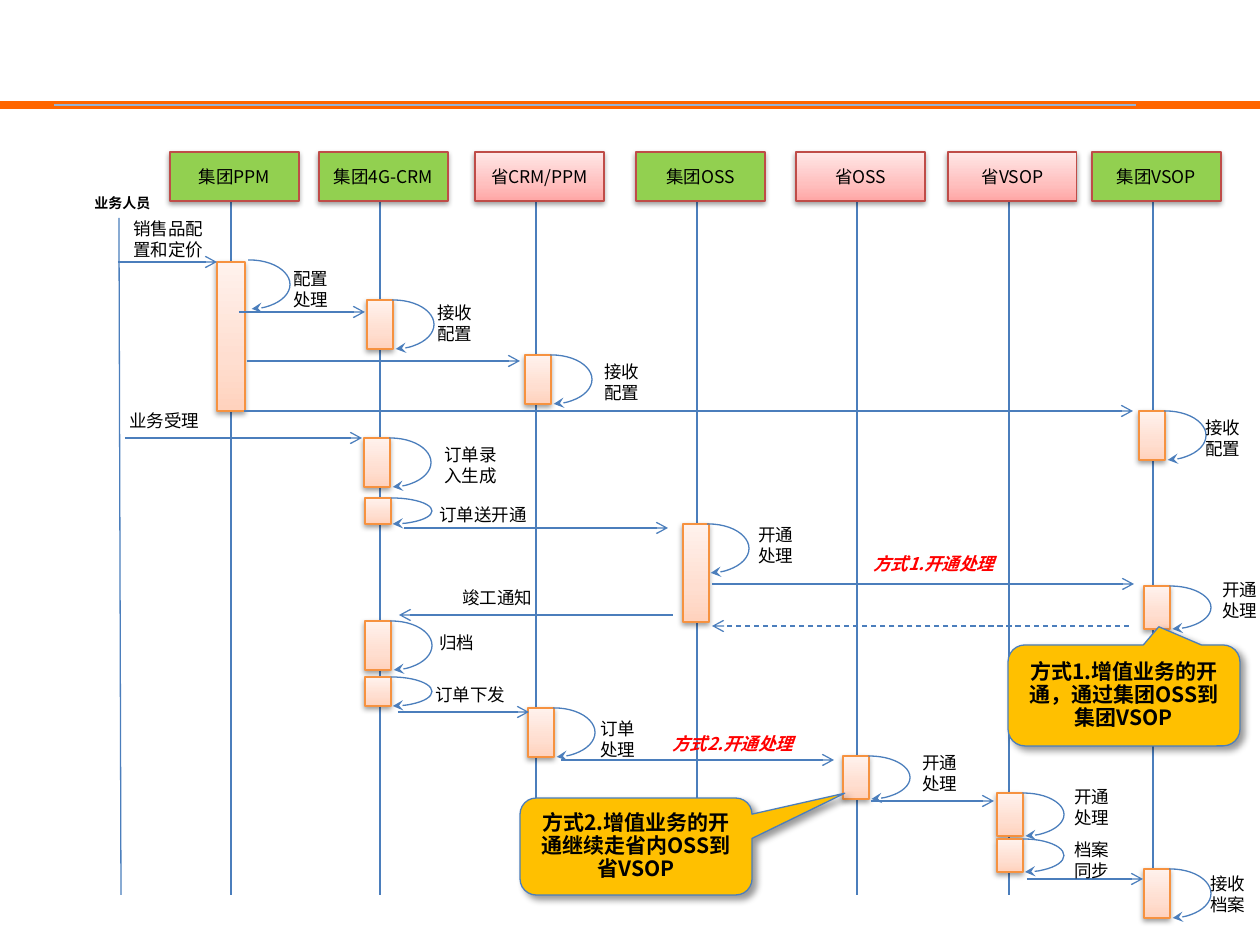
import pptx
import pptx.dml.color
import pptx.enum.dml
import pptx.enum.shapes
import pptx.enum.text
import pptx.oxml.ns
import pptx.util
from lxml import etree

SHAPE = pptx.enum.shapes.MSO_SHAPE
FONT = "Noto Sans CJK SC"
BLUE = "4B7EBC"
PINK = ((0, "FFA6A5"), (35, "FFC0BF"), (100, "FFE7E7"))
PEACH = ((0, "FFD2BD"), (35, "FFDED0"), (100, "FFF2ED"))
SOFT = (38, 3.1, 1.6, 90)
DEEP = (40, 4, 3, 45)
HEAD_W, HEAD_H, HEAD_Y, LIFE_END = 129, 49, 152, 895
BAR_W, LOOP_W = 26, 81

PARTICIPANTS = [
    (170, "集团PPM"), (319, "集团4G-CRM"), (475, "省CRM/PPM"), (636, "集团OSS"),
    (796, "省OSS"), (948, "省VSOP"), (1092, "集团VSOP"),
]
# left, top, height
ACTIVATIONS = [
    (367, 300, 49), (525, 355, 49), (364, 438, 49), (365, 498, 26),
    (365, 621, 49), (365, 677, 29), (528, 708, 49), (1139, 411, 49),
    (1144, 586, 43), (843, 756, 43), (997, 793, 43), (997, 839, 33),
    (1144, 869, 49),
]
# start x, end x, y
MESSAGES = [
    (118, 217, 262), (239, 365, 312), (247, 520, 361), (244, 1133, 411),
    (125, 362, 438), (404, 668, 528), (712, 1134, 584), (673, 399, 615),
    (398, 529, 712), (561, 834, 760), (871, 994, 801), (1027, 1143, 879),
]
# left, top, width, lines, text
LABELS = [
    (121, 212, 96, 2, "销售品配置和定价"), (281, 262, 72, 2, "配置处理"),
    (425, 296, 72, 2, "接收配置"), (592, 355, 72, 2, "接收配置"),
    (1193, 411, 72, 2, "接收配置"), (117, 404, 96, 1, "业务受理"),
    (432, 438, 87, 2, "订单录入生成"), (427, 498, 146, 1, "订单送开通"),
    (746, 518, 72, 2, "开通处理"), (1210, 573, 72, 2, "开通处理"),
    (450, 581, 118, 1, "竣工通知"), (427, 626, 73, 1, "归档"),
    (423, 678, 118, 1, "订单下发"), (588, 712, 73, 2, "订单处理"),
    (910, 746, 72, 2, "开通处理"), (1062, 780, 72, 2, "开通处理"),
    (1062, 833, 72, 2, "档案同步"), (1198, 867, 72, 2, "接收档案"),
]


def px(n):
    return pptx.util.Emu(round(n * 914400 / 126))


def color(value):
    return pptx.dml.color.RGBColor.from_string(value)


def add_xml(parent, tag, **attrs):
    return etree.SubElement(parent, pptx.oxml.ns.qn(tag), attrs)


def set_line(obj, value, width=0.75):
    obj.line.color.rgb = color(value)
    obj.line.width = pptx.util.Pt(width)


def set_arrow(obj, kind):
    add_xml(obj.line._get_or_add_ln(), "a:tailEnd", type=kind)


def set_effects(obj, shadow=None):
    """Replace the theme shadow by (alpha %, blur pt, distance pt, angle) or by none."""
    effects = add_xml(obj._element.spPr, "a:effectLst")
    if shadow:
        alpha, blur, dist, angle = shadow
        node = add_xml(effects, "a:outerShdw", blurRad=str(round(blur * 12700)),
                       dist=str(round(dist * 12700)), dir=str(angle * 60000),
                       rotWithShape="0")
        rgb = add_xml(node, "a:srgbClr", val="000000")
        add_xml(rgb, "a:alpha", val=str(alpha * 1000))


def set_fill(sp, fill):
    """Fill with one hex colour or with (percent, hex) stops running upwards."""
    if isinstance(fill, str):
        sp.fill.solid()
        sp.fill.fore_color.rgb = color(fill)
        return
    sp.fill.gradient()
    sp.fill.gradient_angle = 90
    stops = sp._element.spPr.find(".//" + pptx.oxml.ns.qn("a:gsLst"))
    for stop in list(stops):
        stops.remove(stop)
    for percent, value in fill:
        add_xml(add_xml(stops, "a:gs", pos=str(percent * 1000)), "a:srgbClr", val=value)


def set_text(sp, text, size=10, spacing=None, value="000000", bold=False, italic=False):
    tf = sp.text_frame
    tf.word_wrap = True
    tf.text = text
    p = tf.paragraphs[0]
    p.line_spacing = pptx.util.Pt(spacing or 1.2 * size)
    font = p.runs[0].font
    font.name, font.size = FONT, pptx.util.Pt(size)
    font.bold, font.italic, font.color.rgb = bold, italic, color(value)
    add_xml(p.runs[0]._r.get_or_add_rPr(), "a:ea", typeface=FONT)
    return p


def center_text(sp, text, **style):
    p = set_text(sp, text, **style)
    p.alignment = pptx.enum.text.PP_ALIGN.CENTER
    sp.text_frame.vertical_anchor = pptx.enum.text.MSO_ANCHOR.MIDDLE


def box(shapes, kind, x, y, w, h, fill, line, shadow):
    sp = shapes.add_shape(kind, px(x), px(y), px(w), px(h))
    set_fill(sp, fill)
    set_line(sp, line)
    set_effects(sp, shadow)
    return sp


def connector(shapes, x1, y1, x2, y2, value=BLUE, width=0.75, shadow=None):
    c = shapes.add_connector(pptx.enum.shapes.MSO_CONNECTOR.STRAIGHT,
                             px(x1), px(y1), px(x2), px(y2))
    set_line(c, value, width)
    set_effects(c, shadow)
    return c


def participant(shapes, x, name):
    """Head box with its lifeline."""
    life_x = x + 61
    connector(shapes, life_x, HEAD_Y + HEAD_H, life_x, LIFE_END)
    fill = "92D050" if name.startswith("集团") else PINK
    sp = box(shapes, SHAPE.RECTANGLE, x, HEAD_Y, HEAD_W, HEAD_H, fill, "BF4C48", SOFT)
    center_text(sp, name)


def bar(shapes, x, y, h, w=BAR_W):
    box(shapes, SHAPE.RECTANGLE, x, y, w, h, PEACH, "F69240", SOFT)


def self_loop(shapes, x, y, h):
    sp = shapes.add_shape(SHAPE.ARC, px(x), px(y), px(LOOP_W), px(h))
    sp.adjustments[0], sp.adjustments[1] = 160.176, 50.889
    sp.fill.background()
    set_line(sp, BLUE)
    set_arrow(sp, "stealth")
    set_effects(sp)


def activation(shapes, x, y, h):
    """Bar grouped with the self-message beside it."""
    group = shapes.add_group_shape()
    bar(group.shapes, x, y, h)
    self_loop(group.shapes, x - 14, y, h)


def message(shapes, x1, x2, y, dashed=False):
    c = connector(shapes, x1, y, x2, y)
    if dashed:
        c.line.dash_style = pptx.enum.dml.MSO_LINE.DASH
    set_arrow(c, "arrow")


def label(shapes, x, y, w, lines, text, **style):
    tb = shapes.add_textbox(px(x), px(y), px(w), px(13 + 21 * lines))
    set_text(tb, text, **style)


def callout(shapes, x, y, w, h, pointer, text):
    sp = box(shapes, SHAPE.ROUNDED_RECTANGULAR_CALLOUT, x, y, w, h, "FFC000", BLUE, DEEP)
    for i, value in enumerate((*pointer, 0.167)):
        sp.adjustments[i] = value
    center_text(sp, text, size=12, spacing=13, bold=True)


def main():
    prs = pptx.Presentation()
    prs.slide_width, prs.slide_height = px(1260), px(945)
    shapes = prs.slides.add_slide(prs.slide_layouts[6]).shapes

    connector(shapes, 0, 105, 1260, 105, "FF6600", 4.5)
    connector(shapes, 54, 105, 1136, 105, "95B3D7", shadow=DEEP)

    connector(shapes, 119, 218, 121, LIFE_END)
    label(shapes, 82, 188, 89, 1, "业务人员", size=8, bold=True)
    for item in PARTICIPANTS:
        participant(shapes, *item)

    bar(shapes, 217, 262, 149, w=28)
    self_loop(shapes, 209, 260, 49)
    bar(shapes, 683, 524, 98)
    self_loop(shapes, 668, 524, 49)
    for item in ACTIVATIONS:
        activation(shapes, *item)

    for item in MESSAGES:
        message(shapes, *item)
    message(shapes, 1129, 712, 626, dashed=True)

    for item in LABELS:
        label(shapes, *item)
    for x, y, text in ((861, 547, "方式1.开通处理"), (660, 727, "方式2.开通处理")):
        label(shapes, x, y, 173, 1, text, value="FF0000", bold=True, italic=True)

    callout(shapes, 520, 798, 232, 97, (0.9, -0.55),
            "方式2.增值业务的开通继续走省内OSS到省VSOP")
    callout(shapes, 1008, 645, 232, 101, (0.15, -0.68),
            "方式1.增值业务的开通，通过集团OSS到集团VSOP")
    prs.save("out.pptx")


if __name__ == "__main__":
    main()
